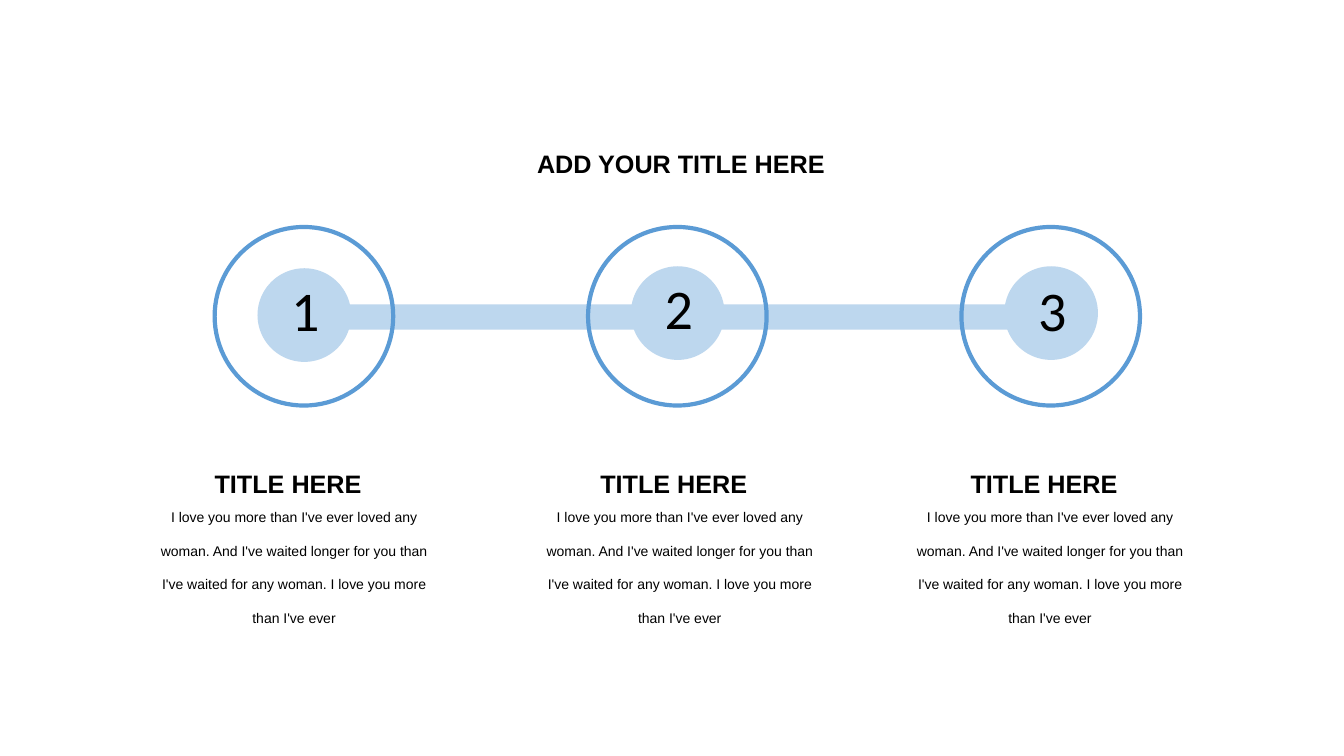
from pptx import Presentation
from pptx.dml.color import RGBColor
from pptx.enum.shapes import MSO_SHAPE
from pptx.enum.text import MSO_ANCHOR, MSO_AUTO_SIZE, PP_ALIGN
from pptx.util import Cm, Pt

OVAL, RECT = MSO_SHAPE.OVAL, MSO_SHAPE.RECTANGLE
TOP, NO_FIT = MSO_ANCHOR.TOP, MSO_AUTO_SIZE.NONE
LEFT, CENTER, JUSTIFY = PP_ALIGN.LEFT, PP_ALIGN.CENTER, PP_ALIGN.JUSTIFY

COLORS = {"pale": "BDD7EE", "ring": "5B9BD5", "text": "000000"}
STEP = 9.41
DISC_TOPS = (6.76, 6.71, 6.71)
NUMBER_TOPS = (6.83, 6.76, 6.81)
COLUMN_LEFTS = (3.56, 13.28, 22.61)
BODY = ("I love you more than I've ever loved any woman. "
        "And I've waited longer for you than I've waited for any woman. "
        "I love you more than I've ever")


class Deck:
    """Holds the presentation style and the current slide."""

    def __init__(self):
        self.prs = Presentation()
        self.prs.slide_width, self.prs.slide_height = Cm(33.87), Cm(19.05)
        self.slide = self.prs.slides.add_slide(self.prs.slide_layouts[5])

    def color(self, name):
        return RGBColor.from_string(COLORS[name])

    def shape(self, kind, x, y, w, h, fill=None, line=None):
        sp = self.slide.shapes.add_shape(kind, Cm(x), Cm(y), Cm(w), Cm(h))
        sp.shadow.inherit = False
        if fill:
            sp.fill.solid()
            sp.fill.fore_color.rgb = self.color(fill)
        else:
            sp.fill.background()
        if line:
            sp.line.color.rgb = self.color(line)
            sp.line.width = Pt(3)
        else:
            sp.line.fill.background()

    def set_text(self, sp, text, size, font="Arial", bold=False, align=JUSTIFY, spacing=1.5):
        tf = sp.text_frame
        tf.word_wrap = True
        tf.auto_size = NO_FIT
        tf.vertical_anchor = TOP
        p = tf.paragraphs[0]
        p.alignment = align
        p.line_spacing = spacing
        r = p.add_run()
        r.text = text
        r.font.name, r.font.size, r.font.bold = font, Pt(size), bold
        r.font.color.rgb = self.color("text")

    def title(self, text, x, y, w, h):
        sp = self.slide.shapes.title
        sp.left, sp.top, sp.width, sp.height = Cm(x), Cm(y), Cm(w), Cm(h)
        self.set_text(sp, text, 18, bold=True)

    def text(self, text, x, y, w, h, size, **style):
        sp = self.slide.shapes.add_textbox(Cm(x), Cm(y), Cm(w), Cm(h))
        self.set_text(sp, text, size, **style)


def main():
    deck = Deck()
    deck.title("ADD YOUR TITLE HERE", 13.28, 3.23, 7.9, 1.27)
    for i, top in enumerate(DISC_TOPS):
        deck.shape(OVAL, 6.49 + i * STEP, top, 2.36, 2.36, fill="pale")
    deck.shape(RECT, 8.05, 7.67, 18.36, 0.64, fill="pale")
    for i, (top, x) in enumerate(zip(NUMBER_TOPS, COLUMN_LEFTS)):
        deck.shape(OVAL, 5.41 + i * STEP, 5.72, 4.5, 4.5, line="ring")
        deck.text(str(i + 1), 7.09 + i * STEP, top, 1.19, 1.96, 40,
                  font="Calibri", align=LEFT, spacing=1)
        deck.text(BODY, x, 12.27, 7.7, 3.56, 10, align=CENTER, spacing=2)
        deck.text("TITLE HERE", x + 1.6, 11.3, 4.5, 1.27, 18, bold=True)
    deck.prs.save("out.pptx")


if __name__ == "__main__":
    main()
